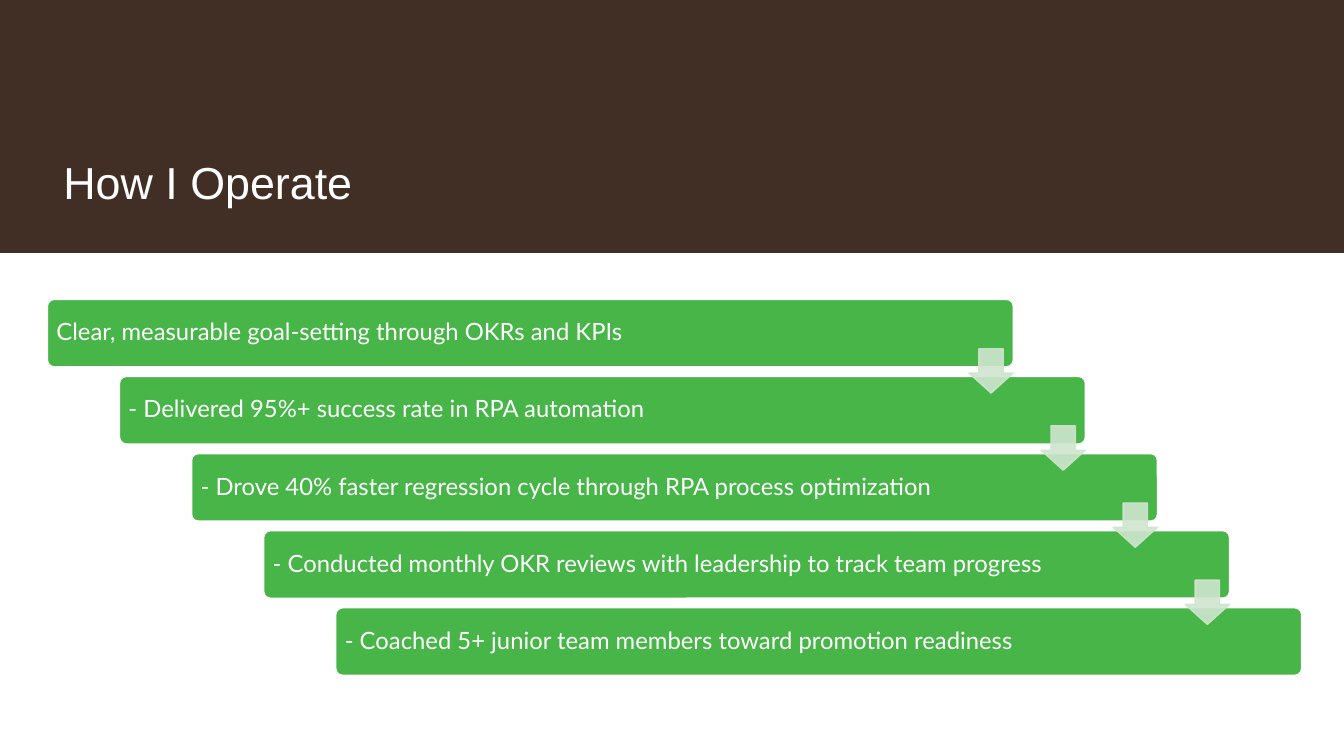
from dataclasses import dataclass

from lxml import etree
from pptx import Presentation, util as u
from pptx.dml.color import RGBColor
from pptx.enum import shapes, text
from pptx.oxml.ns import qn

WIDTH, HEIGHT = 13.33, 7.5
LEFT, TOP = 0.47, 2.97
COLUMN, ROW = 0.715, 0.765
BAR_W, BAR_H = 9.58, 0.67
ARROW = 0.44
WHITE, BROWN, GREEN, PALE = "FFFFFF", "412E24", "47B547", "CFE5CF"


@dataclass
class Box:
    left: float
    top: float
    width: float
    height: float

    def emu(self) -> list[int]:
        return [u.Inches(v) for v in (self.left, self.top, self.width, self.height)]


@dataclass
class Step:
    index: int
    label: str

    @property
    def bar(self) -> Box:
        return Box(LEFT + self.index * COLUMN, TOP + self.index * ROW, BAR_W, BAR_H)

    @property
    def arrow(self) -> Box:
        bar = self.bar
        return Box(bar.left + BAR_W - ARROW, bar.top + 0.49, ARROW, ARROW)


LABELS = [
    "Clear, measurable goal-setting through OKRs and KPIs",
    "- Delivered 95%+ success rate in RPA automation",
    "- Drove 40% faster regression cycle through RPA process optimization",
    "- Conducted monthly OKR reviews with leadership to track team progress",
    "- Coached 5+ junior team members toward promotion readiness",
]
STEPS = [Step(i, label) for i, label in enumerate(LABELS)]


def paint(fmt, color: str, alpha: int = 100) -> None:
    fmt.solid()
    fmt.fore_color.rgb = RGBColor.from_string(color)
    if alpha < 100:
        clr = fmt._xPr.find(qn("a:solidFill"))[0]
        etree.SubElement(clr, qn("a:alpha")).set("val", str(alpha * 1000))


def add_shape(s, kind, box: Box, color: str, line: str = "", alpha: int = 100,
              adj: tuple[float, ...] = ()):
    sp = s.shapes.add_shape(kind, *box.emu())
    sp.shadow.inherit = False
    paint(sp.fill, color, alpha)
    if line:
        sp.line.width = u.Pt(1)
        paint(sp.line.fill, line, alpha)
    else:
        sp.line.fill.background()
    for i, value in enumerate(adj):
        sp.adjustments[i] = value
    return sp


def write(sp, label: str, font: str, size: int, anchor) -> None:
    tf = sp.text_frame
    tf.word_wrap = True
    tf.vertical_anchor = anchor
    p = tf.paragraphs[0]
    p.text = label
    p.alignment = text.PP_ALIGN.LEFT
    p.line_spacing = 0.9
    p.font.name = font
    p.font.size = u.Pt(size)
    paint(p.font.fill, WHITE)


def add_bar(s, step: Step) -> None:
    sp = add_shape(s, shapes.MSO_SHAPE.ROUNDED_RECTANGLE, step.bar, GREEN, WHITE, adj=(0.1,))
    sp.text_frame.margin_left = u.Inches(0.07)
    write(sp, step.label, "Lato", 17, text.MSO_ANCHOR.MIDDLE)


def add_arrow(s, step: Step) -> None:
    add_shape(s, shapes.MSO_SHAPE.DOWN_ARROW, step.arrow, PALE, PALE, 90, (0.55, 0.45))


def main() -> None:
    prs = Presentation()
    prs.slide_width, prs.slide_height = u.Inches(WIDTH), u.Inches(HEIGHT)
    s = prs.slides.add_slide(prs.slide_layouts[6])
    paint(s.background.fill, WHITE)
    add_shape(s, shapes.MSO_SHAPE.RECTANGLE, Box(0, 0, WIDTH, HEIGHT / 3 + 0.01), BROWN)
    title = s.shapes.add_textbox(*Box(0.53, 0.4, 11.89, 1.72).emu())
    write(title, "How I Operate", "Arial", 32, text.MSO_ANCHOR.BOTTOM)
    for step in STEPS:
        add_bar(s, step)
    for step in STEPS[:-1]:
        add_arrow(s, step)
    prs.save("out.pptx")


if __name__ == "__main__":
    main()
